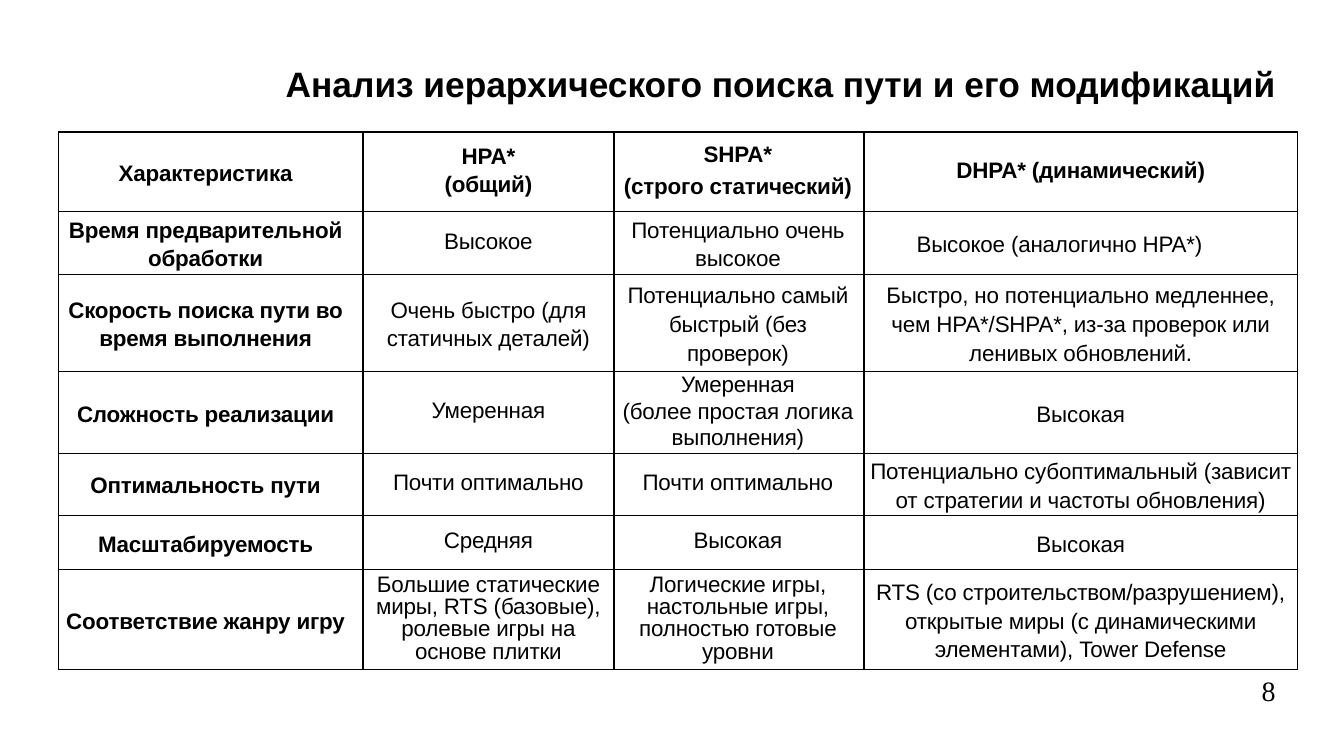
from dataclasses import dataclass

from lxml import etree
from pptx import Presentation
from pptx.dml.color import RGBColor
from pptx.enum.text import MSO_ANCHOR, MSO_AUTO_SIZE, PP_ALIGN
from pptx.oxml.ns import qn
from pptx.util import Inches, Pt

CENTER, RIGHT = PP_ALIGN.CENTER, PP_ALIGN.RIGHT
MIDDLE, FIXED = MSO_ANCHOR.MIDDLE, MSO_AUTO_SIZE.NONE


@dataclass(frozen=True)
class Theme:
    sans: str = "Arial"
    serif: str = "Times New Roman"
    ink: str = "000000"
    title: float = 25.2
    cell: float = 16
    number: float = 20
    rule: float = 1
    track: int = -10  # hundredths of a point between letters in cells


THEME = Theme()
TITLE = "Анализ иерархического поиска пути и его модификаций"
COLS = [3.02, 2.49, 2.48, 4.3]
ROWS = [0.79, 0.62, 0.97, 0.81, 0.61, 0.54, 0.99]
# Left and right cell insets of each column
PADS = [(0, 0.1), (0.04, 0.04), (0.04, 0.06), (0, 0)]
ANALOGY = (1, 3)  # the one cell that sits left of centre
ANALOGY_PAD = 0.42
LOOSE = 1.15
HEAD, TIGHT = Pt(16), Pt(15.8)
# Cells of the middle columns with loose lines
OPEN = {(1, 2), (2, 1), (2, 2)}
# Line spacing and space before of a cell's second paragraph
SECOND = {(0, 1): (1.0, 2.6), (0, 2): (LOOSE, 2.6), (3, 2): (Pt(18.5), 0.2)}
CELLS = [
    ["Характеристика", "HPA*\n(общий)", "SHPA*\n(строго статический)",
     "DHPA* (динамический)"],
    ["Время предварительной обработки", "Высокое",
     "Потенциально очень высокое", "Высокое (аналогично HPA*)"],
    ["Скорость поиска пути во время выполнения",
     "Очень быстро (для статичных деталей)",
     "Потенциально самый быстрый (без проверок)",
     "Быстро, но потенциально медленнее, чем HPA*/SHPA*, "
     "из-за проверок или ленивых обновлений."],
    ["Сложность реализации", "Умеренная",
     "Умеренная\n(более простая логика выполнения)", "Высокая"],
    ["Оптимальность пути", "Почти оптимально", "Почти оптимально",
     "Потенциально субоптимальный (зависит от стратегии "
     "и частоты обновления)"],
    ["Масштабируемость", "Средняя", "Высокая", "Высокая"],
    ["Соответствие жанру игру",
     "Большие статические миры, RTS (базовые), ролевые игры "
     "на основе плитки",
     "Логические игры, настольные игры, полностью готовые уровни",
     "RTS (со строительством/разрушением), открытые миры "
     "(с динамическими элементами), Tower Defense"],
]


def style(para, face, size, bold=False, align=CENTER, track=0):
    para.alignment = align
    for run in para.runs:
        font = run.font
        font.name, font.size, font.bold = face, Pt(size), bold
        font.color.rgb = RGBColor.from_string(THEME.ink)
        if track:
            run._r.get_or_add_rPr().set("spc", str(track))


def place(shape, box):
    shape.left, shape.top, shape.width, shape.height = map(Inches, box)


def add_title(slide, box):
    title = slide.shapes.title
    place(title, box)
    frame = title.text_frame
    frame.text = TITLE
    frame.auto_size, frame.word_wrap = FIXED, True
    frame.vertical_anchor = MIDDLE
    para = frame.paragraphs[0]
    para.line_spacing = 0.9
    style(para, THEME.sans, THEME.title, True)


def add_number(slide, box):
    frame = slide.shapes.add_textbox(*map(Inches, box)).text_frame
    frame.text = "8"
    frame.word_wrap = True
    frame.vertical_anchor = MIDDLE
    style(frame.paragraphs[0], THEME.serif, THEME.number, align=RIGHT)


def frame_cell(cell):
    """Draw the four borders, then clear the fill."""
    props = cell._tc.get_or_add_tcPr()
    for side in ("lnL", "lnR", "lnT", "lnB"):
        line = etree.SubElement(props, qn(f"a:{side}"), w=str(Pt(THEME.rule)))
        fill = etree.SubElement(line, qn("a:solidFill"))
        etree.SubElement(fill, qn("a:srgbClr"), val=THEME.ink)
    cell.fill.background()


def spacing(row, col):
    """Line spacing of a cell's first paragraph."""
    if row == 0:
        return HEAD if col else LOOSE
    return LOOSE if col in (0, 3) or (row, col) in OPEN else TIGHT


def fill_cell(cell, row, col):
    left, right = PADS[col]
    if (row, col) == ANALOGY:
        right = ANALOGY_PAD
    cell.margin_left, cell.margin_right = Inches(left), Inches(right)
    cell.margin_top = cell.margin_bottom = 0
    cell.vertical_anchor = MIDDLE
    cell.text_frame.text = CELLS[row][col]
    paras = cell.text_frame.paragraphs
    bold = row == 0 or col == 0
    for para in paras:
        style(para, THEME.sans, THEME.cell, bold, track=THEME.track)
    paras[0].line_spacing = spacing(row, col)
    if len(paras) > 1:
        lines, before = SECOND[row, col]
        paras[1].line_spacing, paras[1].space_before = lines, Pt(before)
    frame_cell(cell)


def add_grid(slide, left, top):
    box = map(Inches, (left, top, sum(COLS), sum(ROWS)))
    table = slide.shapes.add_table(len(ROWS), len(COLS), *box).table
    table.first_row = table.horz_banding = False
    for col, width in zip(table.columns, COLS):
        col.width = Inches(width)
    for row, height in zip(table.rows, ROWS):
        row.height = Inches(height)
    for row in range(len(ROWS)):
        for col in range(len(COLS)):
            fill_cell(table.cell(row, col), row, col)


def main():
    deck = Presentation()
    deck.slide_width, deck.slide_height = Inches(13.33), Inches(7.5)
    slide = deck.slides.add_slide(deck.slide_layouts[5])
    add_number(slide, (9.75, 6.65, 3, 0.4))
    add_title(slide, (2.47, 0.5, 10.55, 0.7))
    add_grid(slide, 0.58, 1.31)
    deck.save("out.pptx")


if __name__ == "__main__":
    main()
